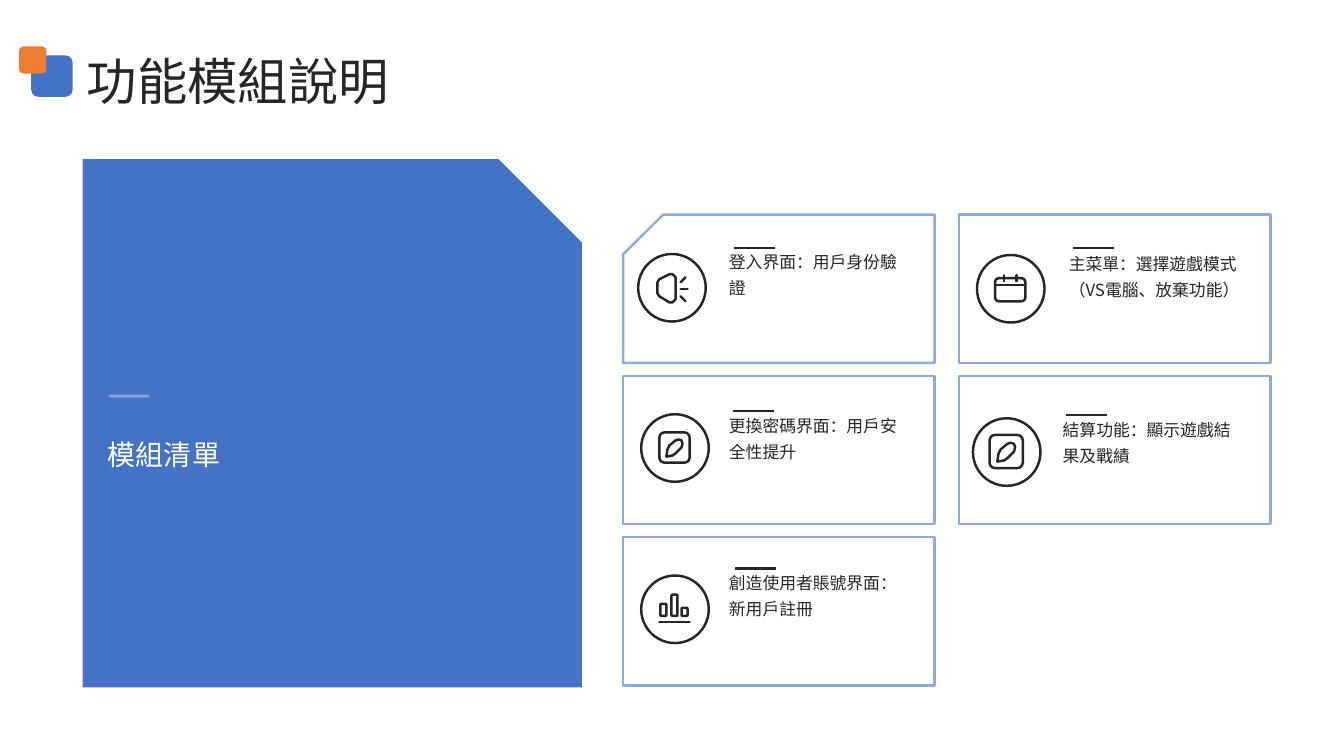
from pptx import Presentation
from pptx.dml.color import RGBColor
from pptx.enum.shapes import MSO_CONNECTOR, MSO_SHAPE as Shape
from pptx.enum.text import MSO_ANCHOR as Anchor, MSO_AUTO_SIZE as Fit, PP_ALIGN as Align
from pptx.oxml.ns import qn
from pptx.util import Inches, Pt
from lxml.etree import SubElement as Sub

FONT = "Noto Sans CJK SC"
BLUE, PALE, ORANGE = "4472C4", "8FAADC", "ED7D31"
INK, WHITE = "262626", "FFFFFF"


def color(code):
    return RGBColor.from_string(code)


def paint(shape, fill=None, edge=None, width=1.75):
    shape.shadow.inherit = False
    if fill:
        shape.fill.solid()
        shape.fill.fore_color.rgb = color(fill)
    else:
        shape.fill.background()
    if edge:
        shape.line.color.rgb = color(edge)
        shape.line.width = Pt(width)
    else:
        shape.line.fill.background()
    return shape


def block(slide, kind, box, fill=None, edge=None):
    shape = slide.shapes.add_shape(kind, *map(Inches, box))
    return paint(shape, fill, edge)


def stroke(slide, x1, y1, x2, y2, code=INK, width=1.5, alpha=None, cap="flat"):
    ends = map(Inches, (x1, y1, x2, y2))
    line = slide.shapes.add_connector(MSO_CONNECTOR.STRAIGHT, *ends)
    line.line.color.rgb = color(code)
    line.line.width = Pt(width)
    props = line._element.spPr
    props.get_or_add_ln().set("cap", cap)
    if alpha:
        tint = props.find(".//" + qn("a:srgbClr"))
        Sub(tint, qn("a:alpha")).set("val", str(alpha * 1000))
    Sub(props, qn("a:effectLst"))


def outline(slide, x, y, points, scale=1):
    """Closed thin outline whose points are offsets from the centre x, y."""
    spots = [(Inches(x + scale * dx), Inches(y + scale * dy)) for dx, dy in points]
    pen = slide.shapes.build_freeform(*spots[0])
    pen.add_line_segments(spots[1:], close=True)
    paint(pen.convert_to_shape(), edge=INK)


def write(shape, text, size, code, space, anchor=Anchor.MIDDLE):
    frame = shape.text_frame
    frame.text = text
    frame.word_wrap = True
    frame.auto_size = Fit.NONE
    frame.vertical_anchor = anchor
    frame.margin_left = frame.margin_right = 0
    frame.margin_top = frame.margin_bottom = 0
    line = frame.paragraphs[0]
    line.alignment = Align.LEFT
    line.line_spacing = space
    font = line.runs[0].font
    font.name, font.size = FONT, Pt(size)
    font.color.rgb = color(code)
    Sub(font._element, qn("a:ea")).set("typeface", FONT)


def label(slide, box, *style):
    write(slide.shapes.add_textbox(*map(Inches, box)), *style)


def horn(slide, x, y):
    outline(slide, x, y, [(-.14, -.05), (-.12, -.08), (-.02, -.13), (.01, -.13),
                          (.04, -.1), (.04, .12), (.01, .15), (-.02, .15),
                          (-.12, .09), (-.14, .06)])
    for x1, y1, x2, y2 in [(.09, -.05, .14, -.1), (.09, .02, .16, .02),
                           (.09, .09, .14, .14)]:
        stroke(slide, x + x1, y + y1, x + x2, y + y2, width=1.75, cap="rnd")


def dates(slide, x, y):
    block(slide, Shape.ROUNDED_RECTANGLE, (x - .15, y - .1, .3, .23), edge=INK)
    stroke(slide, x - .15, y - .03, x + .15, y - .03, width=1.75)
    for dx in (-.06, .06):
        stroke(slide, x + dx, y - .13, x + dx, y - .07, width=1.75, cap="rnd")


def pencil(slide, x, y, scale=1):
    half = .15 * scale
    block(slide, Shape.ROUNDED_RECTANGLE,
          (x - half, y - half, 2 * half, 2 * half), edge=INK)
    outline(slide, x, y, [(-.08, .09), (-.07, .02), (-.05, -.02), (.01, -.07),
                          (.04, -.08), (.07, -.07), (.08, -.04), (.07, 0),
                          (.01, .06), (-.02, .08)], scale)


def large(slide, x, y):
    pencil(slide, x, y, 1.1)


def bars(slide, x, y):
    for dx, tall in [(-.14, .12), (-.03, .21), (.07, .08)]:
        block(slide, Shape.ROUNDED_RECTANGLE,
              (x + dx, y + .07 - tall, .06, tall), edge=INK)
    stroke(slide, x - .15, y + .13, x + .15, y + .13, width=1.75, cap="rnd")


def heading(slide, left, top):
    block(slide, Shape.ROUNDED_RECTANGLE, (left + .12, top + .09, .41, .41), BLUE)
    block(slide, Shape.ROUNDED_RECTANGLE, (left, top, .27, .27), ORANGE)
    title = slide.shapes.title
    title.left, title.top = Inches(left + .67), Inches(top + .05)
    title.width, title.height = Inches(11.67), Inches(.51)
    write(title, "功能模組說明", 36, INK, 1.1)


def panel(slide, left, top):
    block(slide, Shape.SNIP_1_RECTANGLE, (left, top, 4.95, 5.24), BLUE)
    stroke(slide, left + .26, top + 2.35, left + .66, top + 2.35, WHITE, 2.25, 35)
    label(slide, (left + .25, top + 2.73, 4.45, 2.18),
          "模組清單", 20, WHITE, 1.1, Anchor.TOP)


def card(slide, left, top, text, note, bar, ring, icon, snip=False):
    """Card with note, bar and ring given as offsets from its corner."""
    kind = Shape.SNIP_1_RECTANGLE if snip else Shape.RECTANGLE
    frame = block(slide, kind, (left, top, 3.09, 1.47), WHITE, PALE)
    if snip:
        frame.adjustments[0] = .27
        frame._element.spPr.xfrm.set("flipH", "1")
    label(slide, (left + note[0], top + note[1], 1.82, .5), text, 12, INK, 1.3)
    x, y = left + bar[0], top + bar[1]
    stroke(slide, x, y, x + .41, y)
    x, y = left + ring[0], top + ring[1]
    block(slide, Shape.OVAL, (x, y, .67, .67), edge=INK)
    icon(slide, x + .33, y + .33)


CARDS = [
    (0, 0, "登入界面：用戶身份驗證", (1.05, .32), (1.1, .33), (.15, .39), horn, True),
    (1, 0, "主菜單：選擇遊戲模式（VS電腦、放棄功能）",
     (1.09, .34), (1.13, .33), (.18, .4), dates),
    (0, 1, "更換密碼界面：用戶安全性提升", (1.05, .34), (1.09, .35), (.18, .38), pencil),
    (1, 1, "結算功能：顯示遊戲結果及戰績", (1.03, .38), (1.06, .39), (.14, .42), large),
    (0, 2, "創造使用者賬號界面：新用戶註冊", (1.05, .3), (1.11, .31), (.18, .38), bars),
]


def main():
    deck = Presentation()
    deck.slide_width, deck.slide_height = Inches(13.33), Inches(7.5)
    slide = deck.slides.add_slide(deck.slide_layouts[5])
    heading(slide, .19, .46)
    panel(slide, .82, 1.58)
    for col, row, *parts in CARDS:
        card(slide, 6.18 + 3.33 * col, 2.13 + 1.6 * row, *parts)
    deck.save("out.pptx")


if __name__ == "__main__":
    main()
